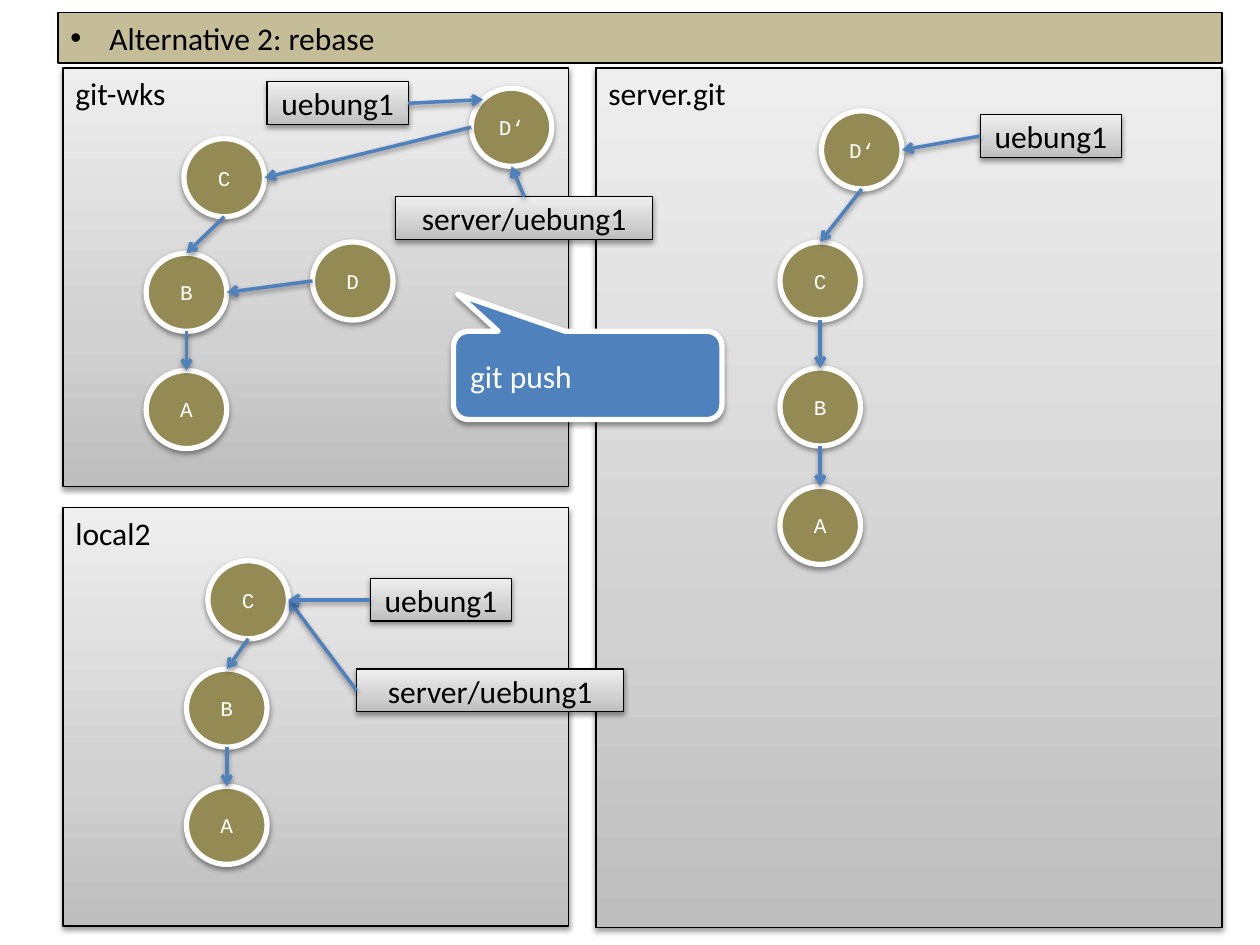
from copy import deepcopy
from math import sqrt

from lxml.etree import SubElement
from pptx import Presentation
from pptx.dml.color import RGBColor
from pptx.enum.shapes import MSO_CONNECTOR, MSO_SHAPE
from pptx.enum.text import MSO_ANCHOR, MSO_AUTO_SIZE, PP_ALIGN
from pptx.oxml.ns import qn
from pptx.util import Inches, Pt

COLORS = {
    "black": "000000", "white": "FFFFFF", "olive": "948A54", "tan": "C4BD97", "blue": "4F81BD",
    "dark": "BDBDBD", "mid": "D1D1D1", "light": "EEEEEE",
}
NODE_W, NODE_H = 0.64, 0.62
DIAGONAL = (1 - sqrt(0.5)) / 2
SIDES = {
    "top": (0.5, 0), "bottom": (0.5, 1), "left": (0, 0.5), "right": (1, 0.5),
    "top_left": (DIAGONAL, DIAGONAL),
}


def rgb(name):
    """Return the named palette colour."""
    return RGBColor.from_string(COLORS[name])


def add_shadow(s):
    """Give a shape or connector a soft shadow straight below it."""
    effects = SubElement(s._element.spPr, qn("a:effectLst"))
    shadow = SubElement(effects, qn("a:outerShdw"), blurRad=str(Pt(3.1)), dist=str(Pt(1.6)),
                        dir="5400000", rotWithShape="0")
    color = SubElement(shadow, qn("a:srgbClr"), val=COLORS["black"])
    SubElement(color, qn("a:alpha"), val="38000")


def fill_gray(s):
    """Fill a shape with the three-stop gray gradient, dark at the bottom."""
    s.fill.gradient()
    s.fill.gradient_angle = 90
    stops = s.fill._fill._gradFill.find(qn("a:gsLst"))
    stops.append(deepcopy(stops[-1]))
    for stop, position, name in zip(s.fill.gradient_stops, (0, 0.35, 1), ("dark", "mid", "light")):
        stop.position = position
        stop.color.rgb = rgb(name)


def add_box(slide, kind, at, text, fill=None, border="black", width=0.75, color="black",
            font="Calibri", size=18, align=PP_ALIGN.LEFT, anchor=MSO_ANCHOR.MIDDLE, shadow=True):
    """Add a preset shape holding one run; without a fill it is gray."""
    s = slide.shapes.add_shape(kind, *map(Inches, at))
    if fill:
        s.fill.solid()
        s.fill.fore_color.rgb = rgb(fill)
    else:
        fill_gray(s)
    s.line.color.rgb = rgb(border)
    s.line.width = Pt(width)
    if shadow:
        add_shadow(s)
    else:
        s.shadow.inherit = False
    tf = s.text_frame
    tf.word_wrap = True
    tf.vertical_anchor = anchor
    p = tf.paragraphs[0]
    p.alignment = align
    r = p.add_run()
    r.text = text
    r.font.name = font
    r.font.size = Pt(size)
    r.font.color.rgb = rgb(color)
    return s


def add_panel(slide, at, text):
    """Add a repository panel named in its top left corner."""
    return add_box(slide, MSO_SHAPE.RECTANGLE, at, text, anchor=MSO_ANCHOR.TOP)


def add_label(slide, x, y, w, text):
    """Add a branch label."""
    return add_box(slide, MSO_SHAPE.RECTANGLE, (x, y, w, 0.34), text, align=PP_ALIGN.CENTER)


def add_commit(slide, x, y, text):
    """Add a round commit node."""
    return add_box(slide, MSO_SHAPE.OVAL, (x, y, NODE_W, NODE_H), text, fill="olive", border="white",
                   width=3, color="white", font="Courier New", size=12, align=PP_ALIGN.CENTER)


def side_point(s, side):
    """Return the point on the named side of a shape."""
    fx, fy = SIDES[side]
    return int(s.left + s.width * fx), int(s.top + s.height * fy)


def add_arrow(slide, start, start_side, end, end_side):
    """Add an arrow from one shape's side to another's."""
    s = slide.shapes.add_connector(MSO_CONNECTOR.STRAIGHT, *side_point(start, start_side),
                                   *side_point(end, end_side))
    s.line.color.rgb = rgb("blue")
    s.line.width = Pt(2)
    SubElement(s.line._get_or_add_ln(), qn("a:tailEnd"), type="arrow")
    add_shadow(s)


def add_chain(slide, commits):
    """Add commits from oldest to newest, each pointing down to its parent."""
    nodes = [add_commit(slide, *commit) for commit in commits]
    for parent, child in zip(nodes, nodes[1:]):
        add_arrow(slide, child, "bottom", parent, "top")
    return nodes


def add_title(slide, text):
    """Add the bulleted title bar."""
    s = add_box(slide, MSO_SHAPE.RECTANGLE, (0.46, 0.1, 9.24, 0.4), text, fill="tan",
                anchor=MSO_ANCHOR.TOP, shadow=False)
    s.text_frame.auto_size = MSO_AUTO_SIZE.SHAPE_TO_FIT_TEXT
    pPr = s.text_frame.paragraphs[0]._p.get_or_add_pPr()
    pPr.set("marL", str(Inches(0.31)))
    pPr.set("indent", str(Inches(-0.31)))
    SubElement(pPr, qn("a:buFont"), typeface="Arial")
    SubElement(pPr, qn("a:buChar"), char="•")


def add_callout(slide, text):
    """Add the command callout."""
    s = add_box(slide, MSO_SHAPE.ROUNDED_RECTANGULAR_CALLOUT, (3.6, 2.63, 2.13, 0.7), text,
                fill="blue", border="white", width=3, color="white")
    for i, value in enumerate((-0.484, -0.92, 0.167)):
        s.adjustments[i] = value


def draw_server(slide):
    """Draw the history on the server."""
    *_, d = add_chain(slide, [(6.19, 3.86, "A"), (6.19, 2.92, "B"), (6.19, 1.92, "C"),
                              (6.52, 0.88, "D‘")])
    add_arrow(slide, add_label(slide, 7.78, 0.91, 1.12, "uebung1"), "left", d, "right")


def draw_local(slide):
    """Draw the history of the second local clone."""
    *_, c = add_chain(slide, [(1.48, 6.24, "A"), (1.48, 5.31, "B"), (1.65, 4.45, "C")])
    for label in ((2.83, 5.31, 2.12, "server/uebung1"), (2.94, 4.59, 1.12, "uebung1")):
        add_arrow(slide, add_label(slide, *label), "left", c, "right")


def draw_workspace(slide):
    """Draw the rebased history of the workspace."""
    _, b, c = add_chain(slide, [(1.16, 2.94, "A"), (1.16, 2.01, "B"), (1.46, 1.1, "C")])
    remote = add_label(slide, 3.14, 1.56, 2.04, "server/uebung1")
    branch = add_label(slide, 2.12, 0.65, 1.12, "uebung1")
    rebased = add_commit(slide, 3.74, 0.7, "D‘")
    old = add_commit(slide, 2.48, 1.92, "D")
    add_arrow(slide, remote, "top", rebased, "bottom")
    add_arrow(slide, branch, "right", rebased, "top_left")
    add_arrow(slide, rebased, "left", c, "right")
    add_arrow(slide, old, "left", b, "right")


def main():
    """Build the slide and save it."""
    prs = Presentation()
    prs.slide_width, prs.slide_height = Inches(10), Inches(7.5)
    slide = prs.slides.add_slide(prs.slide_layouts[6])
    add_panel(slide, (0.5, 0.54, 4.01, 3.32), "git-wks")
    add_panel(slide, (0.5, 4.03, 4.01, 3.32), "local2")
    add_panel(slide, (4.73, 0.54, 4.97, 6.82), "server.git")
    draw_server(slide)
    draw_local(slide)
    draw_workspace(slide)
    add_title(slide, "Alternative 2: rebase")
    add_callout(slide, "git push")
    prs.save("out.pptx")


if __name__ == "__main__":
    main()
